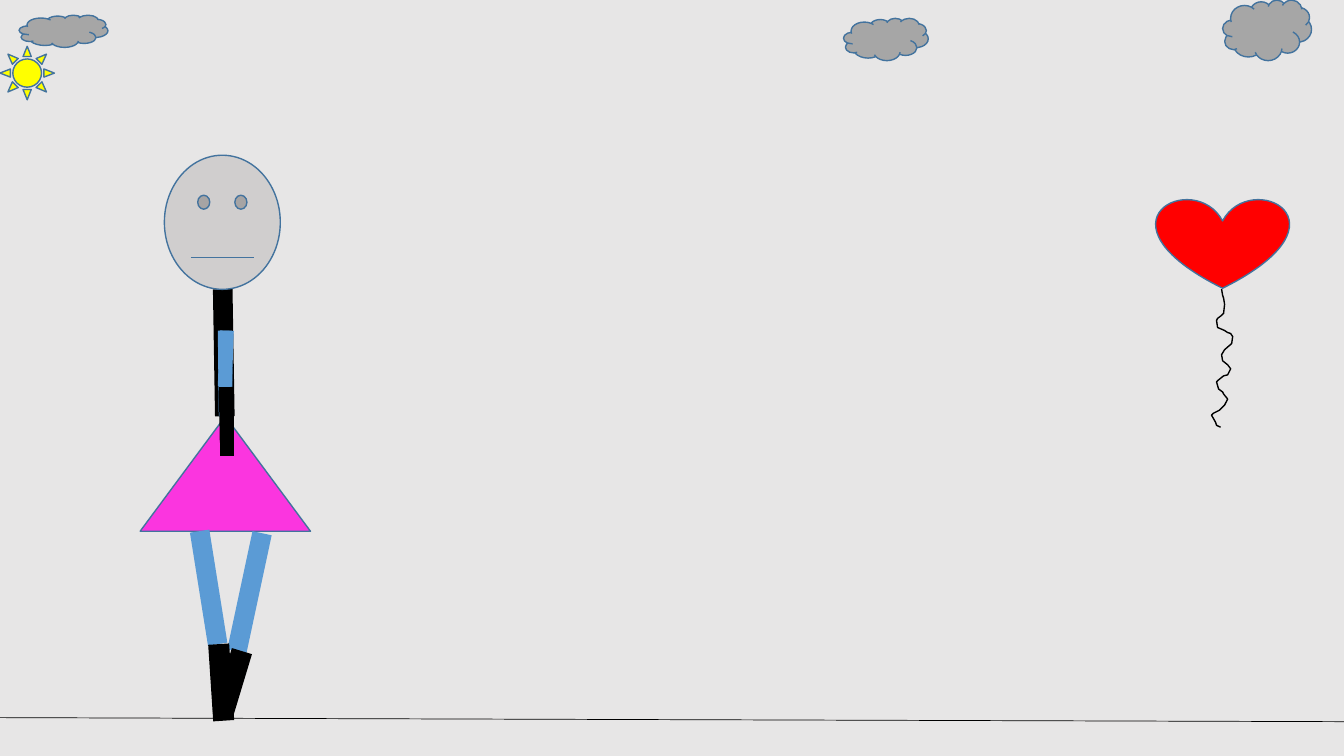
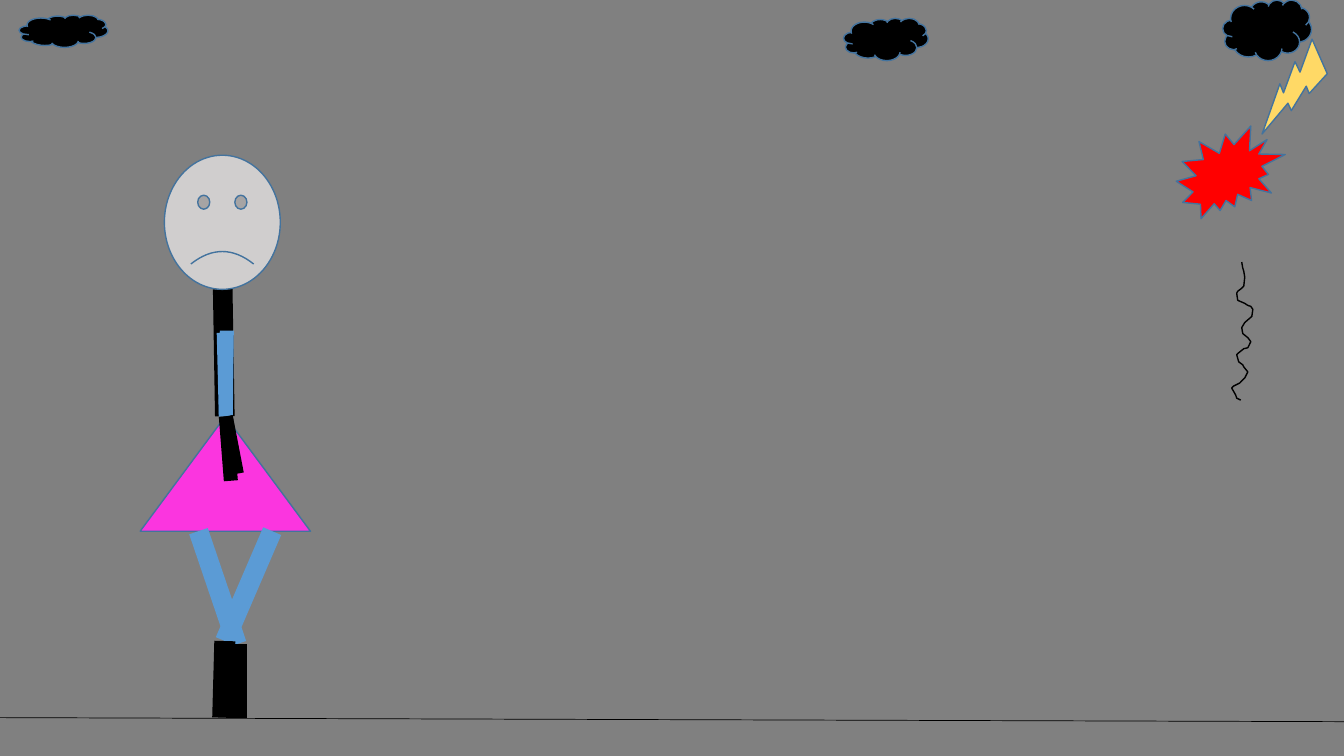
from pptx import Presentation
from pptx.dml.color import RGBColor
from pptx.enum.shapes import MSO_CONNECTOR, MSO_SHAPE
from pptx.oxml.ns import qn
from pptx.util import Pt
from lxml import etree

STRAIGHT = MSO_CONNECTOR.STRAIGHT
TRIANGLE = MSO_SHAPE.ISOSCELES_TRIANGLE
FACE = MSO_SHAPE.SMILEY_FACE
CLOUD = MSO_SHAPE.CLOUD
SUN = MSO_SHAPE.SUN
HEART = MSO_SHAPE.HEART
BURST = MSO_SHAPE.EXPLOSION2
BOLT = MSO_SHAPE.LIGHTNING_BOLT

BLACK = RGBColor(0x00, 0x00, 0x00)
BLUE = RGBColor(0x5B, 0x9B, 0xD5)
OUTLINE = RGBColor(0x43, 0x73, 0x9E)
PINK = RGBColor(0xFB, 0x35, 0xDF)
RED = RGBColor(0xFF, 0x00, 0x00)
YELLOW = RGBColor(0xFF, 0xFF, 0x00)
GOLD = RGBColor(0xFF, 0xD9, 0x66)
SKIN = RGBColor(0xD0, 0xCE, 0xCE)
CLOUD_GREY = RGBColor(0xA6, 0xA6, 0xA6)
CLEAR_SKY = RGBColor(0xE7, 0xE6, 0xE6)
STORM_SKY = RGBColor(0x80, 0x80, 0x80)

WIDTH, HEIGHT = 960, 540
CLOUD_BOXES = [
    (13.7, 10.8, 63.4, 23),
    (602.6, 13, 60.5, 30.2),
    (873.4, 0, 63.4, 43.2),
]
# Offsets of the balloon string from its knot, in steps of STRING_STEP points
STRING_STEP = 0.72
STRING = [
    (0, 0), (1, 6), (2, 9), (3, 15), (2, 24), (0, 26), (-4, 29), (-5, 31),
    (-4, 38), (3, 41), (6, 43), (9, 44), (11, 47), (10, 54), (3, 60),
    (0, 65), (1, 71), (6, 75), (9, 79), (6, 85), (2, 86), (-3, 90),
    (-5, 92), (-3, 99), (1, 102), (2, 104), (6, 109), (3, 115), (0, 118),
    (-2, 120), (-8, 123), (-10, 125), (-6, 132), (-5, 135), (-1, 137),
]
# Colour and stroke width of each part of the body drawn with lines
LIMB_STYLES = {
    "legs": (BLUE, 14),
    "boots": (BLACK, 15),
    "sleeves": (BLUE, 10),
    "hands": (BLACK, 10),
}
WAITING = {
    "legs": [(142.6, 379.4, 155.5, 460.1), (187.2, 380.9, 169.2, 465.1)],
    "boots": [(156.2, 460.1, 159.8, 514.8), (172.8, 465.1, 159.1, 510.5)],
    "sleeves": [(162, 236.2, 160.6, 275.8), (160.6, 236.2, 161.3, 297.4)],
    "hands": [(162, 293.8, 162, 325.4), (161.3, 276.5, 162, 316.1)],
}
SAD = {
    "legs": [(141.8, 379.4, 169.2, 460.1), (194.4, 379.4, 160.6, 457.9)],
    "boots": [(169.2, 460.1, 169.2, 512.6), (160.6, 457.9, 159.1, 512.6)],
    "sleeves": [(162, 236.2, 161.3, 297.4), (159.8, 237.6, 161.3, 297.4)],
    "hands": [(161.3, 297.4, 169.2, 338.4), (161.3, 297.4, 164.9, 343.4)],
}


class Scene:
    """Holds the presentation, its drawing style and the current slide."""

    def __init__(self):
        """Start an empty widescreen presentation."""
        self.deck = Presentation()
        self.deck.slide_width = Pt(WIDTH)
        self.deck.slide_height = Pt(HEIGHT)
        self.slide = None

    def start(self, sky):
        """Add a blank slide with the given sky colour."""
        self.slide = self.deck.slides.add_slide(self.deck.slide_layouts[6])
        backdrop = self.slide.background.fill
        backdrop.solid()
        backdrop.fore_color.rgb = sky

    def stroke(self, line, color, width):
        """Give a line its colour and its width."""
        line.color.rgb = color
        line.width = Pt(width)

    def line(self, ends, color, width):
        """Draw a straight line without shadow."""
        link = self.slide.shapes.add_connector(STRAIGHT, *map(Pt, ends))
        self.stroke(link.line, color, width)
        etree.SubElement(link._element.spPr, qn("a:effectLst"))

    def shape(self, preset, box, fill, adjust=None, **formats):
        """Draw an outlined preset shape with extra format values."""
        figure = self.slide.shapes.add_shape(preset, *map(Pt, box))
        figure.shadow.inherit = False
        figure.fill.solid()
        figure.fill.fore_color.rgb = fill
        self.stroke(figure.line, OUTLINE, 1)
        if adjust is not None:
            figure.adjustments[0] = adjust
        for name, value in formats.items():
            setattr(figure, name, value)

    def string(self, knot):
        """Draw the balloon string hanging from its knot."""
        outline = self.slide.shapes.build_freeform(
            *STRING[0], scale=Pt(STRING_STEP))
        outline.add_line_segments(STRING[1:], close=False)
        thread = outline.convert_to_shape(*map(Pt, knot))
        thread.shadow.inherit = False
        thread.fill.background()
        self.stroke(thread.line, BLACK, 1)

    def girl(self, pose, mouth):
        """Draw the girl in a pose, with the given curve of the mouth."""
        self.line((159.1, 206.6, 160.6, 297.4), BLACK, 14)
        self.shape(TRIANGLE, (100.1, 297.4, 121.7, 82.1), PINK)
        for part, (color, width) in LIMB_STYLES.items():
            for ends in pose[part]:
                self.line(ends, color, width)
        self.shape(FACE, (117.4, 110.9, 82.8, 95.8), SKIN, mouth)

    def landscape(self, cloud_color):
        """Draw the ground and the clouds."""
        self.line((0, 512.6, WIDTH, 515.5), BLACK, 0.5)
        for box in CLOUD_BOXES:
            self.shape(CLOUD, box, cloud_color)


def main():
    """Build the two scenes and save them."""
    scene = Scene()

    scene.start(CLEAR_SKY)
    scene.girl(WAITING, 0)
    scene.shape(HEART, (825.8, 141.8, 95, 64.1), RED)
    scene.string((872.6, 206.6))
    scene.landscape(CLOUD_GREY)
    scene.shape(SUN, (0, 33.1, 38.9, 38.2), YELLOW, 0.236)

    scene.start(STORM_SKY)
    scene.girl(SAD, -0.047)
    scene.string((887, 187.2))
    scene.shape(BOLT, (891.4, 36.7, 64.8, 49.7), GOLD, rotation=85.6)
    scene.shape(BURST, (840.2, 90, 77.8, 66.2), RED)
    scene.landscape(BLACK)

    scene.deck.save("out.pptx")


main()
